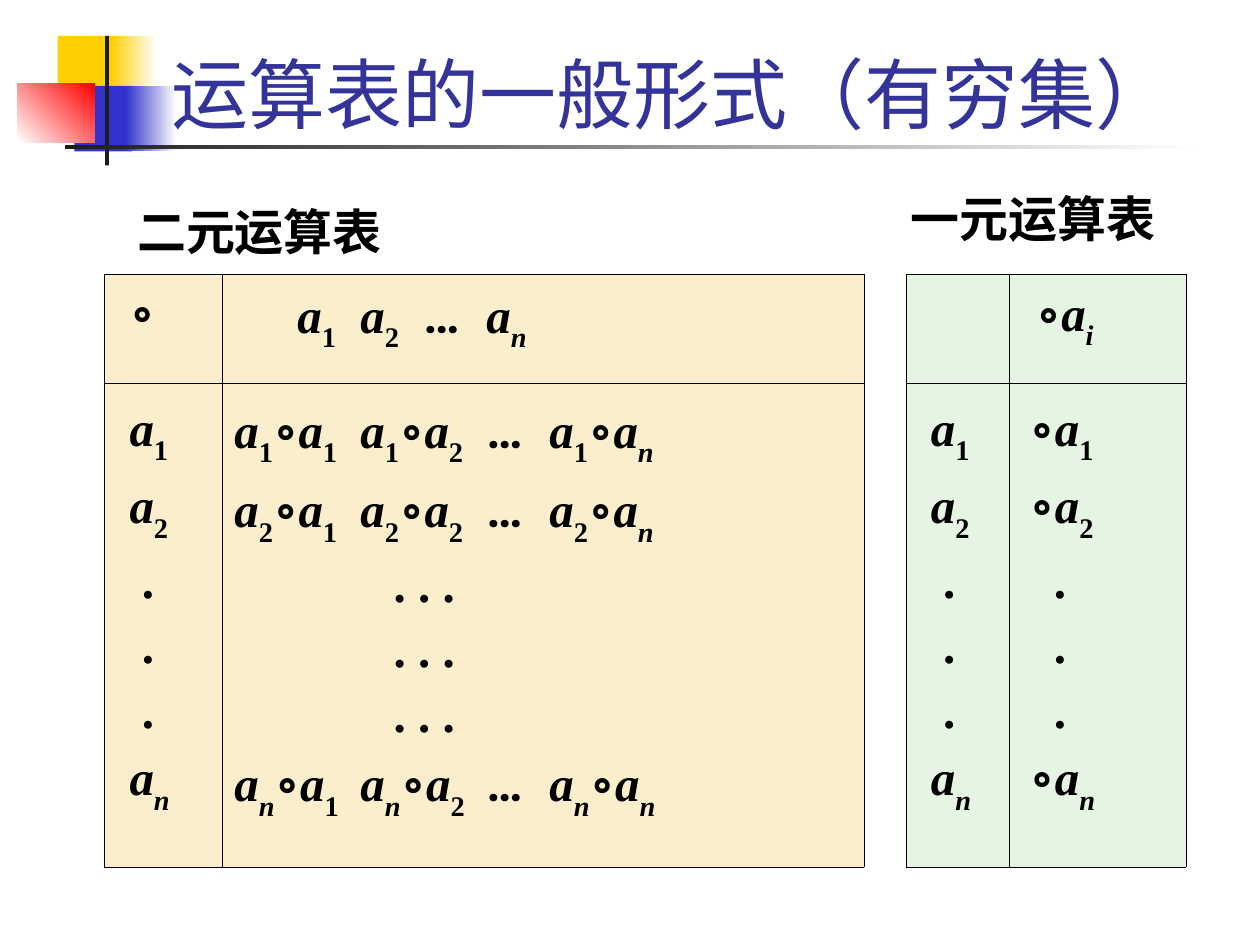
from lxml import etree
from pptx import Presentation
from pptx.dml.color import RGBColor
from pptx.enum.shapes import MSO_SHAPE
from pptx.enum.text import MSO_ANCHOR, MSO_AUTO_SIZE, PP_ALIGN
from pptx.oxml.ns import qn
from pptx.util import Pt

RECT = MSO_SHAPE.RECTANGLE
LEFT = PP_ALIGN.LEFT
BOTTOM = MSO_ANCHOR.BOTTOM
GROW = MSO_AUTO_SIZE.SHAPE_TO_FIT_TEXT

TITLE = "运算表的一般形式（有穷集）"
HEADS = [("二元运算表", 71.3, 111.6), ("一元运算表", 513.4, 104.4)]
DECOR = [
    (33, 20.5, 34.5, 37.5, ["FFCF01"], 0),
    (63.4, 20.5, 26, 37.5, ["FFCF01", "FFFFFF"], 0),
    (42.5, 49, 33, 37.5, ["3333CC"], 0),
    (72, 49, 28.8, 37.5, ["3333CC", "FFFFFF"], 0),
    (10, 48, 44, 33.5, ["FFFFFF", "FF0000"], 45),
    (60, 20.5, 2.3, 74, ["1C1C1C"], 0),
    (37, 83, 648, 2.2, ["1C1C1C", "FFFFFF"], 0),
]
COLS = [67, 367, 24, 59, 101]
ROWS = [62, 276.5]
SAND, MINT = "FBEECD", "E6F5E3"
KEYS = ["1", "2", ".", ".", ".", "n"]
GAP = 2


def fill_in(make):
    return [k if k == "." else make(k) for k in KEYS]


NAMES = fill_in(lambda k: f"a_{k}")
PAIRS = [". . ." if k == "." else f"a_{k}∘a_1\ta_{k}∘a_2\t…\ta_{k}∘a_n" for k in KEYS]
UNARY = fill_in(lambda k: f"∘a_{k}")
CELLS = {
    (0, 0): dict(fill=SAND, lines=["∘"], ind=7),
    (0, 1): dict(fill=SAND, lines=["\ta_1\ta_2\t…\ta_n"], tabs=[14, 92, 163.5, 239.5]),
    (0, 3): dict(fill=MINT, lines=[]),
    (0, 4): dict(fill=MINT, lines=["∘a_i"], ind=8),
    (1, 0): dict(fill=SAND, lines=NAMES, ind=7, dot=14),
    (1, 1): dict(fill=SAND, lines=PAIRS, dot=91, tabs=[79.5, 160, 215]),
    (1, 3): dict(fill=MINT, lines=NAMES, ind=7, dot=14),
    (1, 4): dict(fill=MINT, lines=UNARY, ind=4.3, dot=18.3),
}


def rgb(code):
    return RGBColor.from_string(code)


def style(font, color="000000", **form):
    font.color.rgb = rgb(color)
    for key, val in form.items():
        setattr(font, key, val)


def add_run(para, text, low=False):
    run = para.add_run()
    run.text = text
    face = "Roboto" if text == "…" else "Times New Roman"
    style(run.font, name=face, size=Pt(28), bold=True, italic=text.isalpha())
    if low:
        run.font._element.set("baseline", "-30000")


def write(para, line):
    low = False
    for mark in line:
        if mark != "_":
            add_run(para, mark, low)
        low = mark == "_"


def edge(cell, sides, color=None):
    props = cell._tc.get_or_add_tcPr()
    for spot, side in enumerate(sides):
        line = etree.Element(qn(f"a:ln{side}"), w=str(Pt(0.45)))
        if color:
            paint = etree.SubElement(line, qn("a:solidFill"))
            etree.SubElement(paint, qn("a:srgbClr"), val=color)
        else:
            etree.SubElement(line, qn("a:noFill"))
        props.insert(spot, line)


def fill_cell(cell, row, fill, lines, ind=0, dot=0, tabs=()):
    cell.fill.solid()
    cell.fill.fore_color.rgb = rgb(fill)
    frame = cell.text_frame
    for num, line in enumerate(lines):
        para = frame.add_paragraph() if num else frame.paragraphs[0]
        para.line_spacing = 1.2 if row else 1.1
        props = para._p.get_or_add_pPr()
        props.set("marL", str(Pt(dot if line[0] == "." else ind)))
        props.set("indent", "0")
        if tabs:
            stops = etree.SubElement(props, qn("a:tabLst"))
            for pos in tabs:
                etree.SubElement(stops, qn("a:tab"), pos=str(Pt(pos)), algn="l")
        write(para, line)


def add_decor(shapes):
    for x, y, w, h, hues, turn in DECOR:
        box = shapes.add_shape(RECT, Pt(x), Pt(y), Pt(w), Pt(h))
        box.shadow.inherit = False
        box.line.fill.background()
        if len(hues) == 1:
            box.fill.solid()
            box.fill.fore_color.rgb = rgb(hues[0])
        else:
            box.fill.gradient()
            box.fill.gradient_angle = turn
            for stop, hue in zip(box.fill.gradient_stops, hues):
                stop.color.rgb = rgb(hue)


def add_title(shapes):
    title = shapes.title
    spot = dict(left=Pt(90.7), top=Pt(5.8), width=Pt(613.4), height=Pt(77))
    for key, val in spot.items():
        setattr(title, key, val)
    frame = title.text_frame
    frame.text = TITLE
    frame.vertical_anchor = BOTTOM
    para = frame.paragraphs[0]
    para.alignment = LEFT
    style(para.runs[0].font, "333399", name="Karla", size=Pt(44))
    shapes._spTree.append(title._element)


def add_grid(shapes):
    table = shapes.add_table(len(ROWS), len(COLS), Pt(59.8), Pt(157),
                             Pt(sum(COLS)), Pt(sum(ROWS))).table
    table.first_row = table.horz_banding = False
    for col, wide in zip(table.columns, COLS):
        col.width = Pt(wide)
    for row, high in zip(table.rows, ROWS):
        row.height = Pt(high)
    for (row, col), form in CELLS.items():
        cell = table.cell(row, col)
        fill_cell(cell, row, **form)
        edge(cell, "LRTB", "000000")
    table.cell(0, GAP).merge(table.cell(1, GAP))
    for row in range(len(ROWS)):
        cell = table.cell(row, GAP)
        cell.fill.background()
        edge(cell, "TB")
        edge(cell, "LR", "000000")


def add_heads(shapes):
    for text, x, y in HEADS:
        frame = shapes.add_textbox(Pt(x), Pt(y), Pt(154), Pt(41)).text_frame
        frame.word_wrap = False
        frame.auto_size = GROW
        run = frame.paragraphs[0].add_run()
        run.text = text
        style(run.font, name="Times New Roman", size=Pt(28), bold=True)


def main():
    deck = Presentation()
    deck.slide_width, deck.slide_height = Pt(720), Pt(540)
    shapes = deck.slides.add_slide(deck.slide_layouts[5]).shapes
    for draw in (add_decor, add_title, add_grid, add_heads):
        draw(shapes)
    deck.save("out.pptx")


if __name__ == "__main__":
    main()
